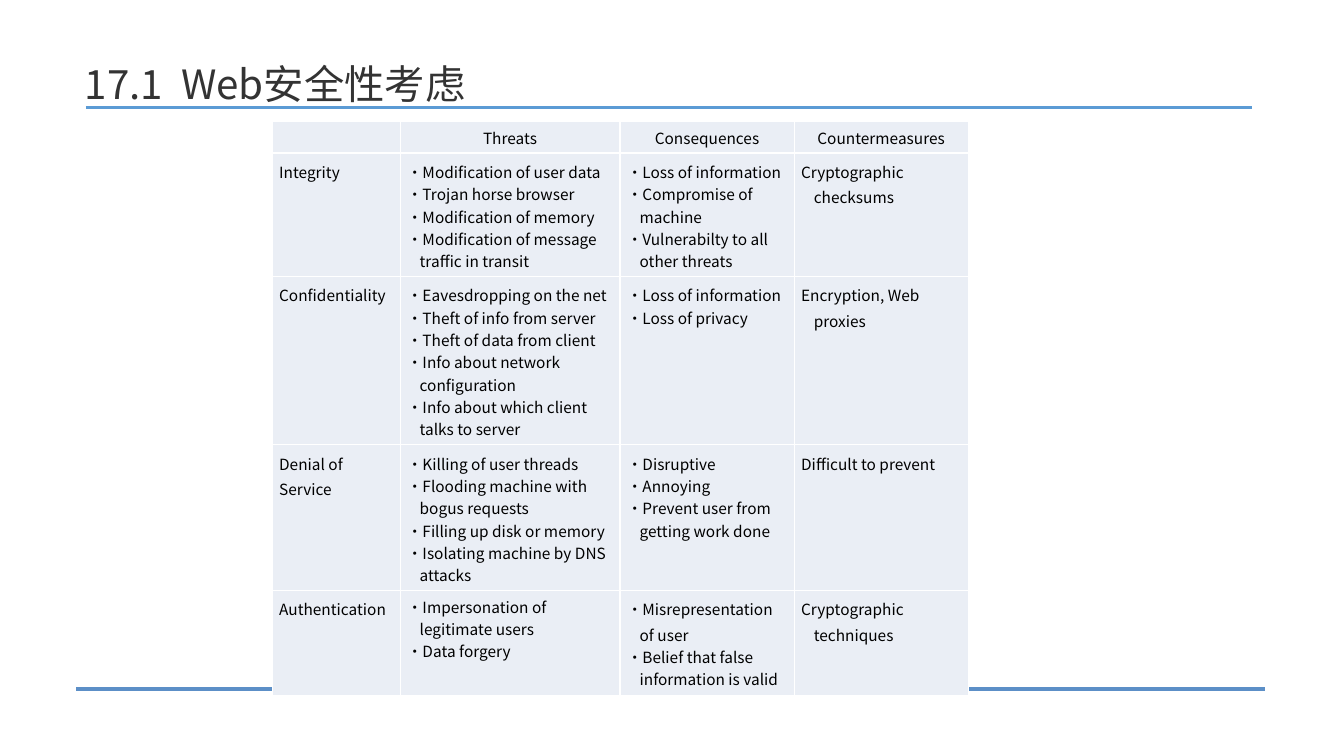
from dataclasses import dataclass

from pptx import Presentation
from pptx.dml.color import RGBColor
from pptx.enum import shapes, text
from pptx.oxml import xmlchemy
from pptx.util import Pt


@dataclass(frozen=True)
class Theme:
    font: str = "Noto Sans CJK SC"
    title_size: float = 28.8
    table_size: float = 11
    title: str = "333333"
    body: str = "000000"
    cell: str = "EAEEF5"
    border: str = "FFFFFF"
    title_rule: str = "5B9BD5"
    foot_rule: str = "5C8FC7"
    rule_width: float = 2.28


THEME = Theme()
COLUMNS = (91.4, 157.1, 124.4, 124.4)
ROWS = (21.6, 84.2, 112.3, 98.6, 74.9)
HEADINGS = ("", "Threats", "Consequences", "Countermeasures")
SECURITY = (
    ("Integrity",
     ("•Modification of user data", "•Trojan horse browser",
      "•Modification of memory", "•Modification of message traffic in transit"),
     ("•Loss of information", "•Compromise of machine",
      "•Vulnerabilty to all other threats"),
     "Cryptographic checksums"),
    ("Confidentiality",
     ("•Eavesdropping on the net", "•Theft of info from server",
      "•Theft of data from client", "•Info about network configuration",
      "•Info about which client talks to server"),
     ("•Loss of information", "•Loss of privacy"),
     "Encryption, Web proxies"),
    ("Denial of Service",
     ("•Killing of user threads", "•Flooding machine with bogus requests",
      "•Filling up disk or memory", "•Isolating machine by DNS attacks"),
     ("•Disruptive", "•Annoying", "•Prevent user from getting work done"),
     "Difficult to prevent"),
    ("Authentication",
     ("•Impersonation of legitimate users", "•Data forgery"),
     ("•Misrepresentation of user", "•Belief that false information is valid"),
     "Cryptographic techniques"),
)


def add_xml(parent, tag, **attributes):
    child = xmlchemy.OxmlElement(tag)
    for name, value in attributes.items():
        child.set(name, str(value))
    parent.append(child)
    return child


def style_font(para, size, color):
    para.font.size = Pt(size)
    para.font.color.rgb = RGBColor.from_string(color)
    para.font.name = THEME.font
    add_xml(para.font._element, "a:ea", typeface=THEME.font)


def add_rule(page, left, top, width, color):
    rule = page.shapes.add_connector(
        shapes.MSO_CONNECTOR.STRAIGHT, Pt(left), Pt(top), Pt(left + width), Pt(top))
    rule.line.color.rgb = RGBColor.from_string(color)
    rule.line.width = Pt(THEME.rule_width)
    add_xml(rule._element.spPr, "a:effectLst")


def add_title(page, left, top, width, height, wording):
    """Place the heading on the bottom of its box, with the rule just below."""
    title = page.shapes.title
    title.left, title.top, title.width, title.height = map(Pt, (left, top, width, height))
    frame = title.text_frame
    frame.text = wording
    frame.word_wrap = True
    frame.auto_size = text.MSO_AUTO_SIZE.NONE
    frame.vertical_anchor = text.MSO_ANCHOR.BOTTOM
    frame.margin_bottom = 0
    para = frame.paragraphs[0]
    para.alignment = text.PP_ALIGN.LEFT
    para.line_spacing = 0.9
    style_font(para, THEME.title_size, THEME.title)
    add_rule(page, left + 8, top + height, width - 17.4, THEME.title_rule)


def format_cell(cell, wording):
    """Fill one cell with a line or a list of lines, and draw its borders."""
    cell.margin_left = cell.margin_right = Pt(5)
    cell.margin_top = cell.margin_bottom = Pt(3.2)
    cell.vertical_anchor = text.MSO_ANCHOR.TOP
    lines = (wording,) if isinstance(wording, str) else wording
    cell.text = "\n".join(lines)
    for para in cell.text_frame.paragraphs:
        style_font(para, THEME.table_size, THEME.body)
        if not para.runs:
            add_xml(para._p, "a:endParaRPr", sz=int(THEME.table_size * 100))
    properties = cell._tc.get_or_add_tcPr()
    for side in ("lnL", "lnR", "lnT", "lnB"):
        border = add_xml(properties, f"a:{side}", w=Pt(1))
        add_xml(add_xml(border, "a:solidFill"), "a:srgbClr", val=THEME.border)
    cell.fill.solid()
    cell.fill.fore_color.rgb = RGBColor.from_string(THEME.cell)


def add_threat_table(page, left, top):
    frame = page.shapes.add_table(
        len(ROWS), len(COLUMNS), Pt(left), Pt(top), Pt(sum(COLUMNS)), Pt(sum(ROWS)))
    table = frame.table
    table.first_row = table.horz_banding = False
    for column, width in zip(table.columns, COLUMNS):
        column.width = Pt(width)
    for row, height in zip(table.rows, ROWS):
        row.height = Pt(height)

    for r, entries in enumerate((HEADINGS,) + SECURITY):
        for c, wording in enumerate(entries):
            cell = table.cell(r, c)
            format_cell(cell, wording)
            paras = cell.text_frame.paragraphs
            if r == 0:
                paras[0].alignment = text.PP_ALIGN.CENTER
                continue
            # The last list of threats keeps single spacing throughout
            if (r, c) != (len(SECURITY), 1):
                paras[0].line_spacing = Pt(18)
            if c > 0:
                for para in paras:
                    hanging = para._p.get_or_add_pPr()
                    hanging.set("marL", str(Pt(9)))
                    hanging.set("indent", str(-Pt(9)))


def main():
    deck = Presentation()
    deck.slide_width, deck.slide_height = Pt(960), Pt(540)
    page = deck.slides.add_slide(deck.slide_layouts[5])

    # Footer rule, behind the table
    add_rule(page, 54.5, 492.2, 849, THEME.foot_rule)
    # Table of threats
    add_threat_table(page, 194.4, 87)
    # Heading and its rule
    add_title(page, 53.3, 16.6, 850.3, 60.4, "17.1  Web安全性考虑")

    deck.save("out.pptx")


if __name__ == "__main__":
    main()
